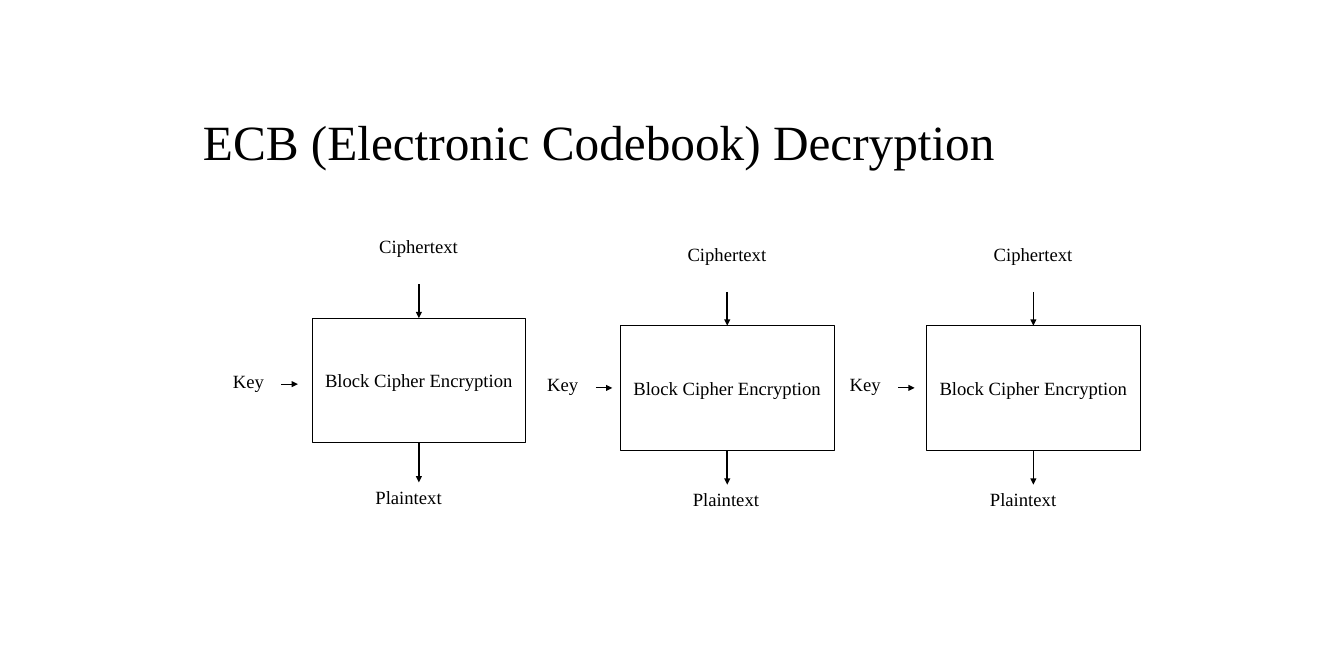
from lxml.etree import SubElement
from pptx import Presentation
from pptx.dml.color import RGBColor
from pptx.enum.shapes import MSO_CONNECTOR, MSO_SHAPE
from pptx.enum.text import MSO_ANCHOR, PP_ALIGN
from pptx.oxml.ns import qn
from pptx.util import Inches, Pt

# Content
TITLE = "ECB (Electronic Codebook) Decryption"
INPUT, CIPHER, OUTPUT, KEY = "Ciphertext", "Block Cipher Encryption", "Plaintext", "Key"

# Stages in inches: block corner, key label corner, output label corner
STAGES = [
    {"block": (4.18, 4.26), "key": (3.02, 4.9), "output": (4.93, 6.46)},
    {"block": (8.31, 4.36), "key": (7.23, 4.95), "output": (9.18, 6.49)},
    {"block": (12.41, 4.36), "key": (11.28, 4.95), "output": (13.16, 6.49)},
]

# Sizes in inches
SLIDE_WIDTH, SLIDE_HEIGHT = 18, 9
BLOCK_WIDTH, BLOCK_HEIGHT = 2.86, 1.67
LABEL_HEIGHT = 0.49
INPUT_WIDTH, OUTPUT_WIDTH, KEY_WIDTH = 1.58, 1.37, 0.75
INPUT_INDENT, INPUT_RISE = 0.8, 1.16
INPUT_ARROW, KEY_ARROW = 0.45, 0.22

FONT = "Times New Roman"
COLORS = {"ink": "000000", "paper": "FFFFFF"}


def color(name):
    return RGBColor.from_string(COLORS[name])


def write(shape, text, size=18, align=PP_ALIGN.LEFT, anchor=MSO_ANCHOR.TOP):
    frame = shape.text_frame
    frame.word_wrap = True
    frame.vertical_anchor = anchor
    paragraph = frame.paragraphs[0]
    paragraph.text = text
    paragraph.alignment = align
    paragraph.font.name = FONT
    paragraph.font.size = Pt(size)
    paragraph.font.color.rgb = color("ink")
    return paragraph


def add_label(slide, text, left, top, width, height=LABEL_HEIGHT, **style):
    box = slide.shapes.add_textbox(*map(Inches, (left, top, width, height)))
    return write(box, text, **style)


def add_block(slide, left, top):
    block = slide.shapes.add_shape(
        MSO_SHAPE.RECTANGLE, *map(Inches, (left, top, BLOCK_WIDTH, BLOCK_HEIGHT)))
    block.shadow.inherit = False
    block.fill.background()
    block.line.color.rgb = color("ink")
    block.line.width = Pt(0.75)
    write(block, CIPHER, align=PP_ALIGN.CENTER, anchor=MSO_ANCHOR.MIDDLE)
    return block


def add_arrow(slide, start, end, width):
    arrow = slide.shapes.add_connector(
        MSO_CONNECTOR.STRAIGHT, *map(Inches, (*start, *end)))
    arrow.line.color.rgb = color("ink")
    arrow.line.width = Pt(width)
    properties = arrow.element.spPr
    SubElement(properties.find(qn("a:ln")), qn("a:tailEnd"), type="triangle")
    SubElement(properties, qn("a:effectLst"))
    return arrow


def add_stage(slide, stage):
    left, top = stage["block"]
    key_left, key_top = stage["key"]
    output_left, output_top = stage["output"]
    center, bottom = left + BLOCK_WIDTH / 2, top + BLOCK_HEIGHT
    block = add_block(slide, left, top)

    # Key enters from the left
    add_label(slide, KEY, key_left, key_top, KEY_WIDTH)
    key_right, key_middle = key_left + KEY_WIDTH, key_top + LABEL_HEIGHT / 2
    add_arrow(slide, (key_right, key_middle), (key_right + KEY_ARROW, key_middle), 1)

    # Input flows in at the top, output leaves at the bottom
    add_label(slide, INPUT, left + INPUT_INDENT, top - INPUT_RISE, INPUT_WIDTH)
    add_label(slide, OUTPUT, output_left, output_top, OUTPUT_WIDTH)
    arrow_in = add_arrow(slide, (center, top - INPUT_ARROW), (center, top), 1.5)
    arrow_in.end_connect(block, 0)
    arrow_out = add_arrow(slide, (center, bottom), (center, output_top), 1.5)
    arrow_out.begin_connect(block, 2)


def main():
    presentation = Presentation()
    presentation.slide_width = Inches(SLIDE_WIDTH)
    presentation.slide_height = Inches(SLIDE_HEIGHT)
    slide = presentation.slides.add_slide(presentation.slide_layouts[6])
    slide.background.fill.solid()
    slide.background.fill.fore_color.rgb = color("paper")

    title = add_label(slide, TITLE, 2.62, 1.21, 11.5, 1.45,
                      size=47.5, anchor=MSO_ANCHOR.MIDDLE)
    title.line_spacing = 0.9
    for stage in STAGES:
        add_stage(slide, stage)
    presentation.save("out.pptx")


if __name__ == "__main__":
    main()
